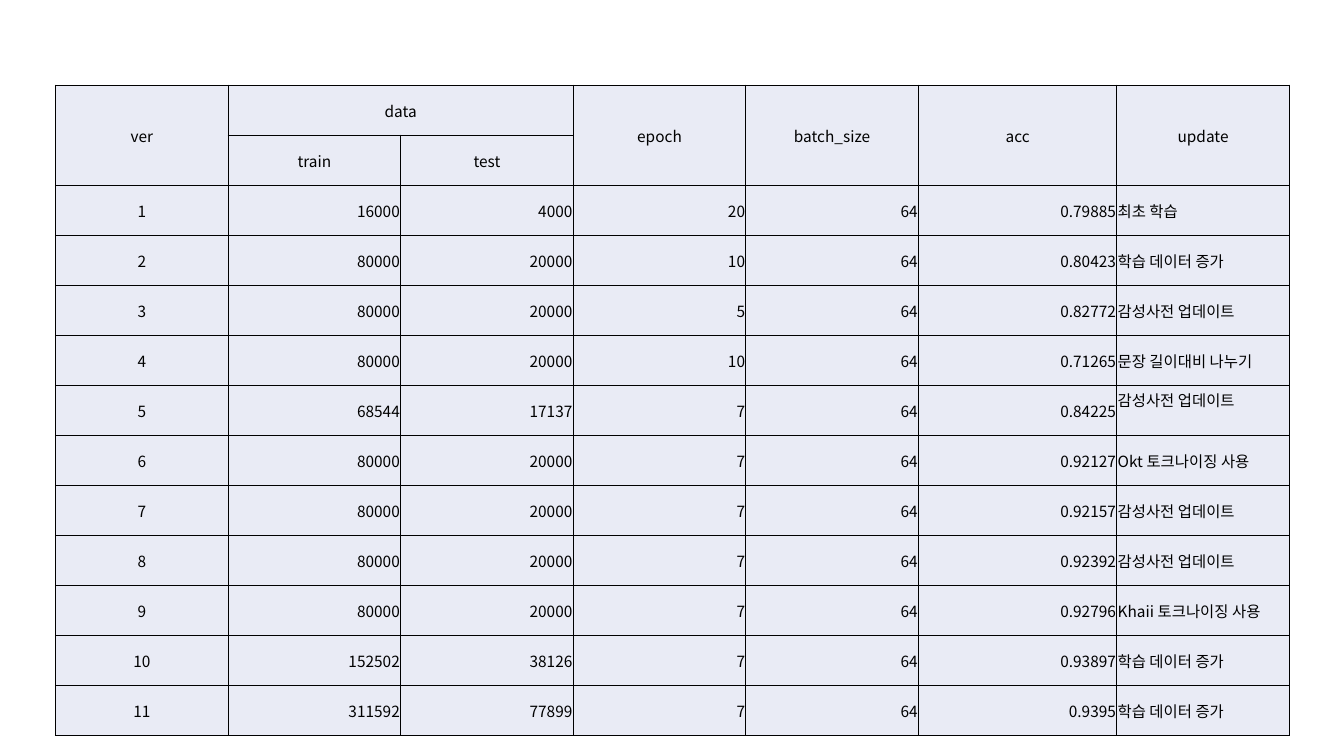
import pptx
import pptx.dml.color
import pptx.enum.text
import pptx.oxml
import pptx.oxml.ns
import pptx.util

Cm = pptx.util.Cm
Pt = pptx.util.Pt
ALIGN = pptx.enum.text.PP_ALIGN


class Theme:
    font = "Noto Sans CJK KR"
    size = Pt(11)
    ink = "000000"
    cell_fill = "E9EBF5"
    rule_width = Pt(1)


# Table content
HEADINGS = [
    ("ver", "data", "", "epoch", "batch_size", "acc", "update"),
    ("", "train", "test", "", "", "", ""),
]
RUNS = [
    (1, 16000, 4000, 20, 64, 0.79885, "최초 학습"),
    (2, 80000, 20000, 10, 64, 0.80423, "학습 데이터 증가"),
    (3, 80000, 20000, 5, 64, 0.82772, "감성사전 업데이트"),
    (4, 80000, 20000, 10, 64, 0.71265, "문장 길이대비 나누기"),
    (5, 68544, 17137, 7, 64, 0.84225, "감성사전 업데이트"),
    (6, 80000, 20000, 7, 64, 0.92127, "Okt 토크나이징 사용"),
    (7, 80000, 20000, 7, 64, 0.92157, "감성사전 업데이트"),
    (8, 80000, 20000, 7, 64, 0.92392, "감성사전 업데이트"),
    (9, 80000, 20000, 7, 64, 0.92796, "Khaii 토크나이징 사용"),
    (10, 152502, 38126, 7, 64, 0.93897, "학습 데이터 증가"),
    (11, 311592, 77899, 7, 64, 0.9395, "학습 데이터 증가"),
]

# Table geometry
LEFT, TOP = Cm(1.4), Cm(2.15)
ROW_HEIGHT = Cm(1.26)
COLUMN_WIDTHS = [Cm(4.35)] * 5 + [Cm(5), Cm(4.35)]
COLUMN_ALIGNS = [ALIGN.CENTER] + [ALIGN.RIGHT] * 5 + [ALIGN.LEFT]
FULL_HEIGHT_HEADINGS = (0, 3, 4, 5, 6)
CELL_FORMAT = {
    "margin_left": Cm(0.02),
    "margin_right": Cm(0.02),
    "margin_top": Cm(0.02),
    "margin_bottom": Cm(0),
    "vertical_anchor": pptx.enum.text.MSO_ANCHOR.MIDDLE,
}


def apply_format(target, values):
    for attribute, value in values.items():
        setattr(target, attribute, value)


def rgb(value):
    return pptx.dml.color.RGBColor.from_string(value)


def border_cell(cell):
    properties = cell._tc.get_or_add_tcPr()
    for position, side in enumerate(("lnL", "lnR", "lnT", "lnB")):
        rule = pptx.oxml.parse_xml(
            f'<a:{side} {pptx.oxml.ns.nsdecls("a")} w="{Theme.rule_width}">'
            f'<a:solidFill><a:srgbClr val="{Theme.ink}"/></a:solidFill></a:{side}>'
        )
        properties.insert(position, rule)


def write_text(cell, text, align):
    paragraph = cell.text_frame.paragraphs[0]
    paragraph.alignment = align
    run = paragraph.add_run()
    run.text = text
    apply_format(run.font, {"name": Theme.font, "size": Theme.size, "bold": False})
    run.font.color.rgb = rgb(Theme.ink)
    # Hangul takes its typeface from the East Asian font slot
    east_asian = pptx.oxml.parse_xml(
        f'<a:ea {pptx.oxml.ns.nsdecls("a")} typeface="{Theme.font}"/>'
    )
    run._r.get_or_add_rPr().find(pptx.oxml.ns.qn("a:latin")).addnext(east_asian)


def fill_cell(cell, text, align):
    apply_format(cell, CELL_FORMAT)
    cell.fill.solid()
    cell.fill.fore_color.rgb = rgb(Theme.cell_fill)
    border_cell(cell)
    if text:
        write_text(cell, text, align)


def add_results_table(slide):
    rows = HEADINGS + RUNS
    results = slide.shapes.add_table(
        len(rows), len(COLUMN_WIDTHS), LEFT, TOP,
        sum(COLUMN_WIDTHS), ROW_HEIGHT * len(rows),
    ).table
    apply_format(results, {"first_row": False, "horz_banding": False})
    for column, width in zip(results.columns, COLUMN_WIDTHS):
        column.width = width

    for row_index, values in enumerate(rows):
        results.rows[row_index].height = ROW_HEIGHT
        is_heading = row_index < len(HEADINGS)
        for column_index, value in enumerate(values):
            align = ALIGN.CENTER if is_heading else COLUMN_ALIGNS[column_index]
            fill_cell(results.cell(row_index, column_index), str(value), align)

    # Merged headings
    results.cell(0, 1).merge(results.cell(0, 2))
    for column_index in FULL_HEIGHT_HEADINGS:
        results.cell(0, column_index).merge(results.cell(1, column_index))

    # The update note of version 5 sits slightly higher than its row
    results.cell(6, 6).margin_bottom = Cm(0.56)


def main():
    deck = pptx.Presentation()
    apply_format(deck, {"slide_width": Cm(33.87), "slide_height": Cm(19.05)})
    slide = deck.slides.add_slide(deck.slide_layouts[6])
    add_results_table(slide)
    deck.save("out.pptx")


if __name__ == "__main__":
    main()
